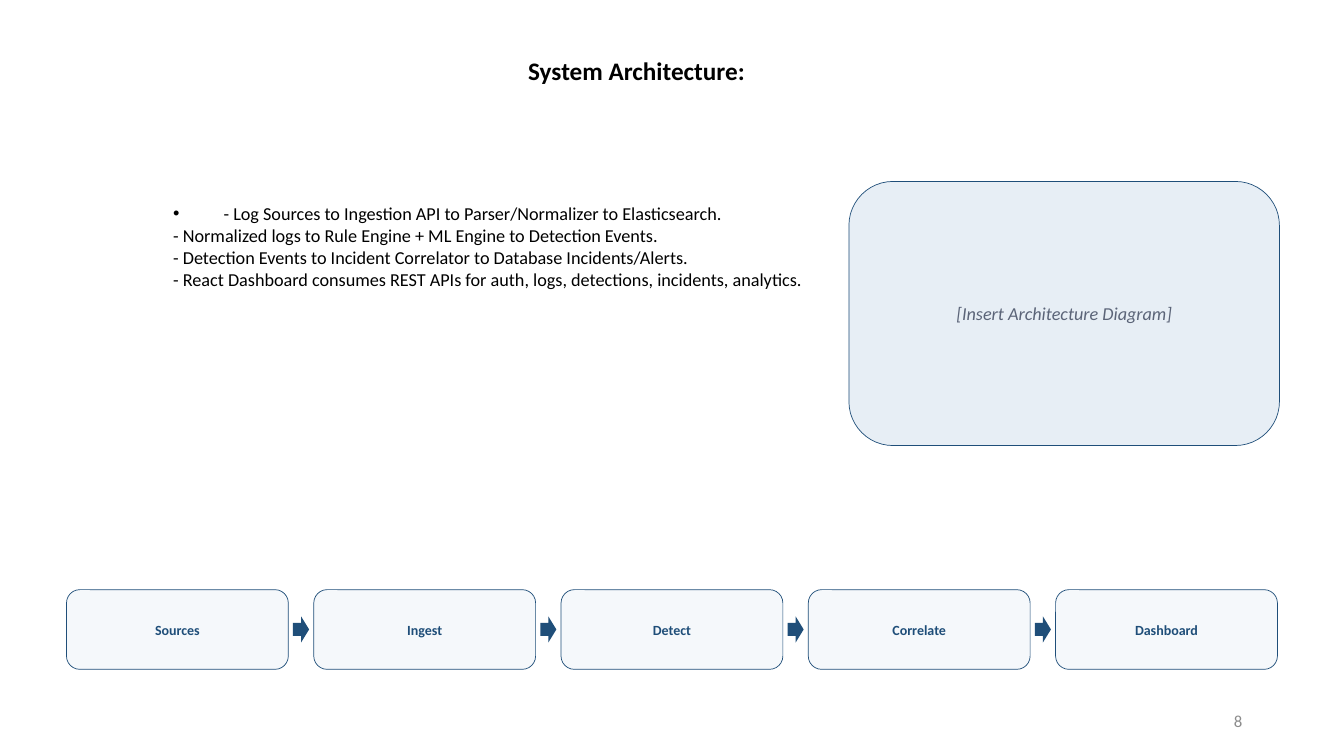
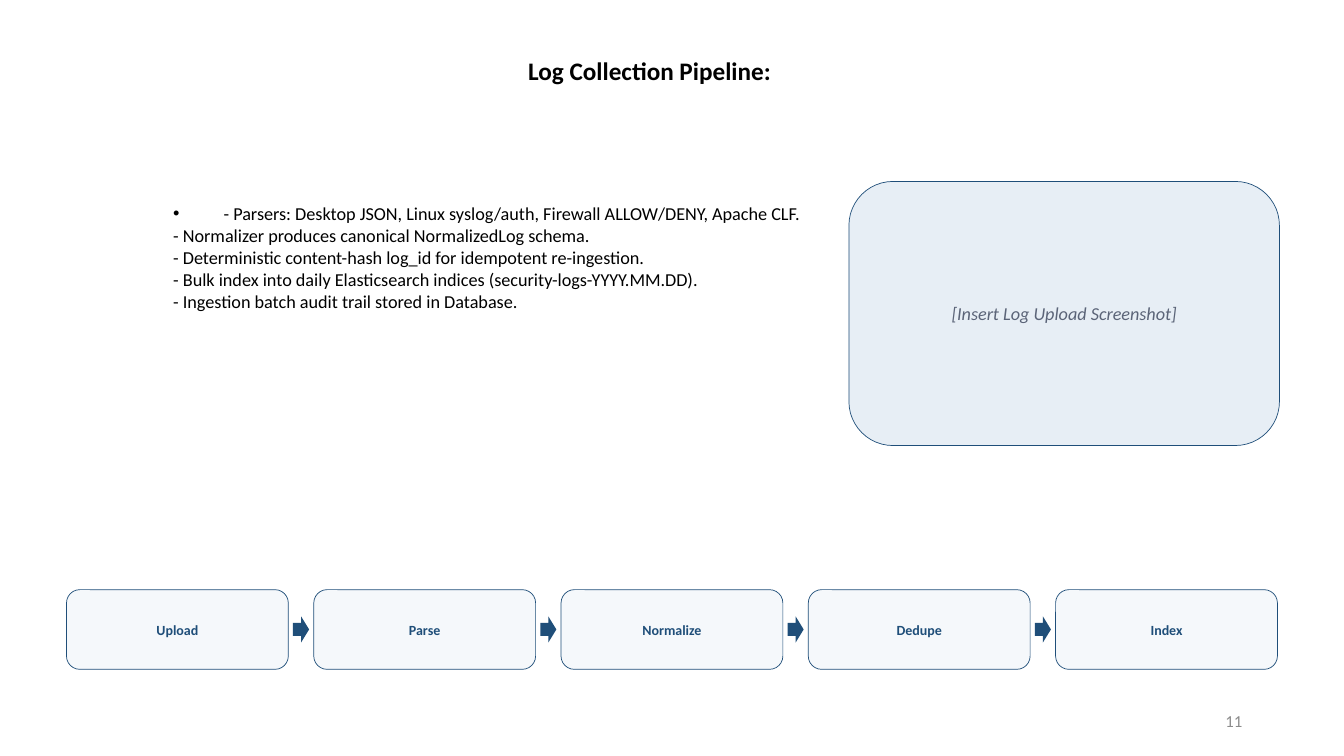
from lxml.etree import SubElement
from pptx import Presentation
from pptx.dml.color import RGBColor
from pptx.enum.shapes import MSO_SHAPE
from pptx.enum.text import MSO_ANCHOR, PP_ALIGN
from pptx.oxml.ns import qn
from pptx.util import Inches, Pt

FONT = "Calibri"
BLACK = "000000"
NAVY = "1F4E79"
STEP_FILL = "F5F8FB"
PANEL_FILL = "E7EEF5"
PANEL_TEXT = "5B6478"
NUMBER_GRAY = "8C8C8C"

FLOW_LEFT, FLOW_RIGHT, FLOW_TOP = 0.66, 12.67, 5.85
STEP_WIDTH, STEP_HEIGHT = 2.2, 0.79
ARROW_WIDTH, ARROW_HEIGHT = 0.16, 0.26

SLIDES = [
    {
        "title": "System Architecture:",
        "number": "8",
        "points": [
            "- Log Sources to Ingestion API to Parser/Normalizer to Elasticsearch.",
            "- Normalized logs to Rule Engine + ML Engine to Detection Events.",
            "- Detection Events to Incident Correlator to Database Incidents/Alerts.",
            "- React Dashboard consumes REST APIs for auth, logs, detections, incidents, analytics.",
        ],
        "steps": ["Sources", "Ingest", "Detect", "Correlate", "Dashboard"],
        "panel": "[Insert Architecture Diagram]",
    },
    {
        "title": "Log Collection Pipeline:",
        "number": "11",
        "points": [
            "- Parsers: Desktop JSON, Linux syslog/auth, Firewall ALLOW/DENY, Apache CLF.",
            "- Normalizer produces canonical NormalizedLog schema.",
            "- Deterministic content-hash log_id for idempotent re-ingestion.",
            "- Bulk index into daily Elasticsearch indices (security-logs-YYYY.MM.DD).",
            "- Ingestion batch audit trail stored in Database.",
        ],
        "steps": ["Upload", "Parse", "Normalize", "Dedupe", "Index"],
        "panel": "[Insert Log Upload Screenshot]",
    },
]


def color(value):
    return RGBColor.from_string(value)


def write(frame, *lines, size, ink=BLACK, bold=False, italic=False,
          align=PP_ALIGN.LEFT, anchor=MSO_ANCHOR.TOP):
    frame.word_wrap = True
    frame.vertical_anchor = anchor
    for index, line in enumerate(lines):
        paragraph = frame.add_paragraph() if index else frame.paragraphs[0]
        paragraph.alignment = align
        run = paragraph.add_run()
        run.text = line
        run.font.name = FONT
        run.font.size = Pt(size)
        run.font.bold = bold
        run.font.italic = italic
        run.font.color.rgb = color(ink)


def add_text(slide, left, top, width, height, *lines, **style):
    box = slide.shapes.add_textbox(
        Inches(left), Inches(top), Inches(width), Inches(height))
    write(box.text_frame, *lines, **style)
    return box.text_frame


def add_figure(slide, preset, left, top, width, height, fill, outline=None):
    figure = slide.shapes.add_shape(
        preset, Inches(left), Inches(top), Inches(width), Inches(height))
    figure.shadow.inherit = False
    figure.fill.solid()
    figure.fill.fore_color.rgb = color(fill)
    if outline:
        figure.line.color.rgb = color(outline)
        figure.line.width = Pt(0.5)
    else:
        figure.line.fill.background()
    return figure


def add_card(slide, left, top, width, height, fill, label, **style):
    card = add_figure(slide, MSO_SHAPE.ROUNDED_RECTANGLE,
                      left, top, width, height, fill, NAVY)
    write(card.text_frame, label, align=PP_ALIGN.CENTER,
          anchor=MSO_ANCHOR.MIDDLE, **style)


def add_bullet(paragraph, indent):
    properties = paragraph._p.get_or_add_pPr()
    properties.set("marL", str(Inches(indent)))
    properties.set("indent", str(-Inches(indent)))
    SubElement(properties, qn("a:buFont"), typeface="Arial")
    SubElement(properties, qn("a:buChar"), char="•")


def add_points(slide, points):
    frame = add_text(slide, 1.62, 1.96, 10.63, 5.54, *points, size=13)
    add_bullet(frame.paragraphs[0], 0.5)


def add_flow(slide, steps):
    gap = (FLOW_RIGHT - FLOW_LEFT - len(steps) * STEP_WIDTH) / (len(steps) - 1)
    arrow_top = FLOW_TOP + (STEP_HEIGHT - ARROW_HEIGHT) / 2
    for index, step in enumerate(steps):
        left = FLOW_LEFT + index * (STEP_WIDTH + gap)
        if index:
            arrow_left = left - (gap + ARROW_WIDTH) / 2
            add_figure(slide, MSO_SHAPE.RIGHT_ARROW, arrow_left, arrow_top,
                       ARROW_WIDTH, ARROW_HEIGHT, NAVY)
        add_card(slide, left, FLOW_TOP, STEP_WIDTH, STEP_HEIGHT, STEP_FILL,
                 step, size=10, ink=NAVY, bold=True)


def add_content_slide(deck, content):
    slide = deck.slides.add_slide(deck.slide_layouts[6])
    add_text(slide, 5.14, 0.5, 3.59, 0.77, content["title"], size=18, bold=True)
    add_text(slide, 9.42, 6.95, 3, 0.4, content["number"], size=12,
             ink=NUMBER_GRAY, align=PP_ALIGN.RIGHT, anchor=MSO_ANCHOR.MIDDLE)
    add_points(slide, content["points"])
    add_flow(slide, content["steps"])
    add_card(slide, 8.42, 1.8, 4.27, 2.62, PANEL_FILL, content["panel"],
             size=13, ink=PANEL_TEXT, italic=True)


def main():
    deck = Presentation()
    deck.slide_width = Inches(13.33)
    deck.slide_height = Inches(7.5)
    for content in SLIDES:
        add_content_slide(deck, content)
    deck.save("out.pptx")


if __name__ == "__main__":
    main()
